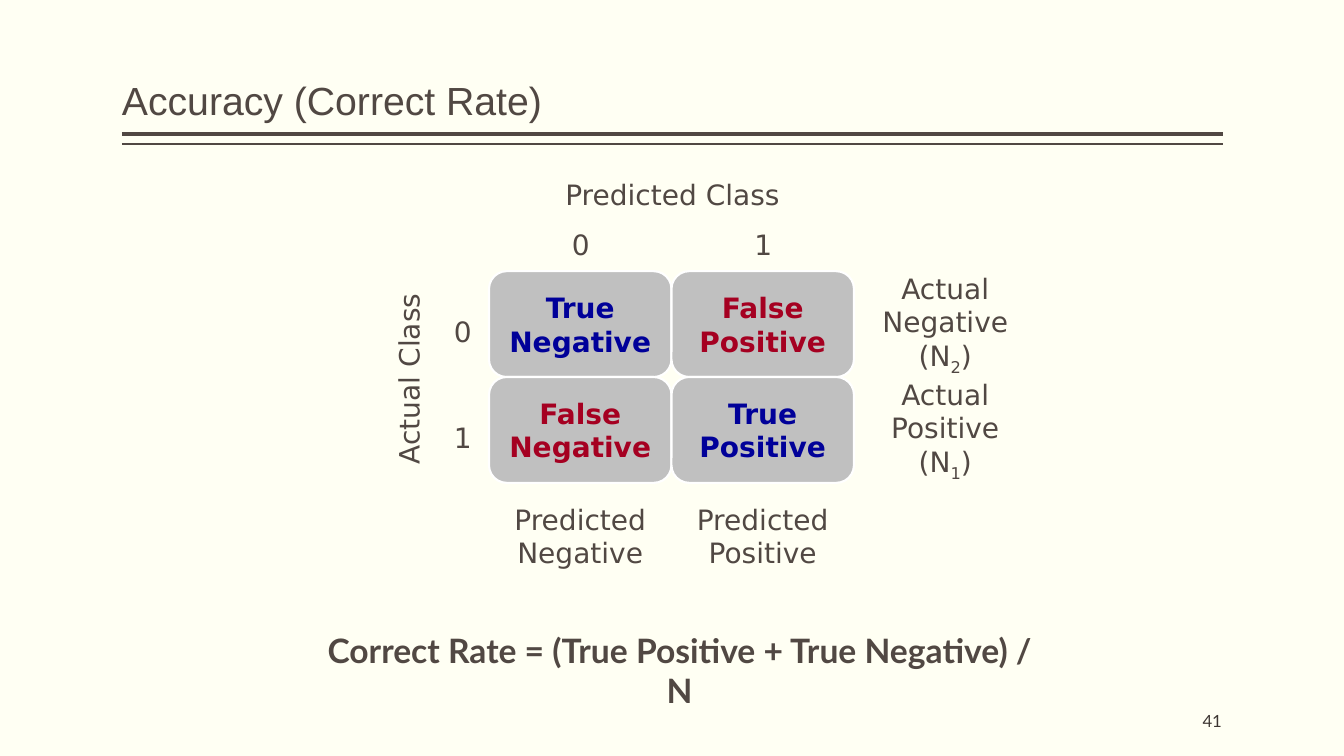
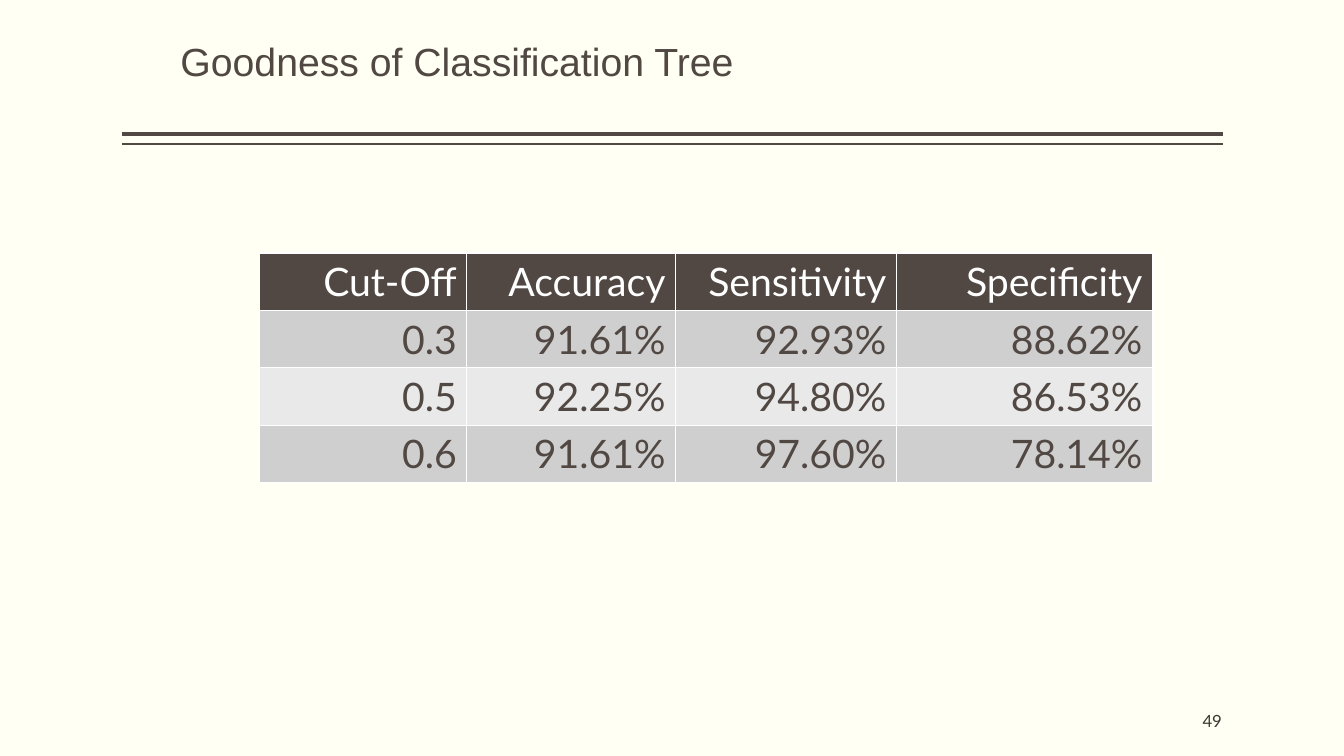
from dataclasses import dataclass
from pptx import Presentation
from pptx.dml.color import RGBColor as RGB
from pptx.enum.shapes import MSO_CONNECTOR as Conn, MSO_SHAPE as Shape
from pptx.enum.text import MSO_ANCHOR as Anchor, PP_ALIGN as Align
from pptx.oxml.ns import qn
from pptx.util import Emu, Pt
from lxml.etree import SubElement as Sub

PX = 9144  # 100 px to the inch


@dataclass(frozen=True)
class Theme:
    # Colours
    back: str = "FFFFF3"
    ink: str = "514843"
    page: str = "3D3632"
    tile: str = "C0C0C0"
    good: str = "000099"
    bad: str = "A50021"
    white: str = "FFFFFF"
    bands: tuple = ("D0CFCF", "E9E9E9")
    # Fonts and type sizes
    head: str = "Arial"
    body: str = "Lato"
    label: str = "DejaVu Sans"
    big: int = 28
    mid: int = 24
    norm: int = 20
    small: int = 12


T = Theme()

# Content: a label line may be (text, subscript, text)
TILES = [
    [(["True", "Negative"], T.good), (["False", "Positive"], T.bad)],
    [(["False", "Negative"], T.bad), (["True", "Positive"], T.good)],
]
ACTUAL = [["Actual", ("Negative (N", "2", ")")],
          ["Actual", ("Positive (N", "1", ")")]]
GUESS = [["Predicted", "Negative"], ["Predicted", "Positive"]]
AXES = [  # text, box, turn
    ("Predicted Class", (550, 171, 234, 44), 0),
    ("Actual Class", (310, 354, 190, 44), 270),
]
RATE = "Correct Rate = (True Positive + True Negative) / N"
ROWS = [
    ("Cut-Off", "Accuracy", "Sensitivity", "Specificity"),
    ("0.3", "91.61%", "92.93%", "88.62%"),
    ("0.5", "92.25%", "94.80%", "86.53%"),
    ("0.6", "91.61%", "97.60%", "78.14%"),
]
COLS = (206, 207, 219, 254)

# Geometry
RULES = [(133, 3), (143, 1)]  # y, weight
LEFT, RIGHT = 121, 1213
GRID_X, GRID_Y, TILE_W, TILE_H = 485, 269, 181, 105
DIG_W, DIG_H = 38, 44
TAB_X, TAB_Y, ROW_H = 257, 251, 57


def px(*vals):
    return [Emu(v * PX) for v in vals]


def rgb(code):
    return RGB.from_string(code)


def style(para, size, color=T.ink, face=T.body, bold=False,
          align=Align.CENTER):
    para.alignment = align
    font = para.font
    font.size, font.name, font.bold = Pt(size), face, bold
    font.color.rgb = rgb(color)


def write(frame, lines, size, anchor=Anchor.MIDDLE, wrap=False, **look):
    frame.word_wrap = wrap
    frame.vertical_anchor = anchor
    for i, line in enumerate(lines):
        para = frame.paragraphs[0] if i == 0 else frame.add_paragraph()
        parts = (line,) if isinstance(line, str) else line
        for j, part in enumerate(parts):
            run = para.add_run()
            run.text = part
            if j == 1:  # subscript
                run.font._element.set("baseline", "-25000")
        style(para, size, **look)


def text(slide, box, lines, size, **look):
    shape = slide.shapes.add_textbox(*px(*box))
    write(shape.text_frame, lines, size, **look)
    return shape


def label(slide, box, lines, **look):
    return text(slide, box, lines, T.norm, face=T.label, **look)


def flush(frame):
    frame.margin_left = frame.margin_right = 0


def start(prs, name, box, num):
    """Slide with rules, title and page number."""
    slide = prs.slides.add_slide(prs.slide_layouts[5])
    for y, weight in RULES:
        rule = slide.shapes.add_connector(
            Conn.STRAIGHT, *px(LEFT, y, RIGHT, y))
        rule.line.color.rgb = rgb(T.ink)
        rule.line.width = Pt(weight)
        Sub(rule._element.spPr, qn("a:effectLst"))
    title = slide.shapes.title
    title.left, title.top, title.width, title.height = px(*box)
    write(title.text_frame, [name], T.big, anchor=Anchor.BOTTOM, wrap=True,
          face=T.head, align=Align.LEFT)
    title.text_frame.paragraphs[0].line_spacing = 0.9
    flush(title.text_frame)
    page = text(slide, (1012, 695, 200, 40), [num], T.small, wrap=True,
                color=T.page, align=Align.RIGHT)
    flush(page.text_frame)
    return slide


def spot(row, col):
    return (GRID_X + col * TILE_W, GRID_Y + row * TILE_H, TILE_W, TILE_H)


def matrix(slide):
    # Tiles
    for r, row in enumerate(TILES):
        for c, (lines, color) in enumerate(row):
            tile = slide.shapes.add_shape(
                Shape.ROUNDED_RECTANGLE, *px(*spot(r, c)))
            tile.shadow.inherit = False
            tile.fill.solid()
            tile.fill.fore_color.rgb = rgb(T.tile)
            tile.line.color.rgb = rgb(T.white)
            tile.line.width = Pt(1.5)
            write(tile.text_frame, lines, T.norm, face=T.label,
                  color=color, bold=True)
    # Totals and class digits
    for i in range(2):
        label(slide, spot(i, 2), ACTUAL[i])
        label(slide, spot(2, i), GUESS[i])
        label(slide, (440, 307 + i * TILE_H, DIG_W, DIG_H), [str(i)])
        label(slide, (557 + i * TILE_W, 220, DIG_W, DIG_H), [str(i)])
    # Axis names
    for name, box, turn in AXES:
        label(slide, box, [name]).rotation = turn


def edge(cell):
    """White hairlines, placed ahead of the cell fill."""
    props = cell._tc.get_or_add_tcPr()
    for i, side in enumerate(("lnL", "lnR", "lnT", "lnB")):
        line = Sub(props, qn("a:" + side), w=str(Pt(1)))
        fill = Sub(line, qn("a:solidFill"))
        Sub(fill, qn("a:srgbClr"), val=T.white)
        props.insert(i, line)


def grid(slide):
    frame = slide.shapes.add_table(
        len(ROWS), len(COLS),
        *px(TAB_X, TAB_Y, sum(COLS), ROW_H * len(ROWS)))
    table = frame.table
    table.first_row = table.horz_banding = False
    for col, wide in zip(table.columns, COLS):
        col.width = Emu(wide * PX)
    for r, row in enumerate(ROWS):
        table.rows[r].height = Emu(ROW_H * PX)
        back = T.bands[(r - 1) % 2] if r else T.ink
        for c, word in enumerate(row):
            cell = table.cell(r, c)
            cell.fill.solid()
            cell.fill.fore_color.rgb = rgb(back)
            edge(cell)
            cell.text = word
            style(cell.text_frame.paragraphs[0], T.big,
                  color=T.ink if r else T.white, align=Align.RIGHT)


def main():
    prs = Presentation()
    prs.slide_width, prs.slide_height = px(1333, 750)
    back = prs.slide_master.background.fill
    back.solid()
    back.fore_color.rgb = rgb(T.back)

    # Accuracy
    slide = start(prs, "Accuracy (Correct Rate)", (121, 8, 1092, 120), "41")
    matrix(slide)
    text(slide, (304, 620, 740, 91), [RATE], T.mid, anchor=Anchor.TOP,
         wrap=True, bold=True)

    # Goodness
    slide = start(prs, "Goodness of Classification Tree",
                  (179, 0, 862, 89), "49")
    grid(slide)
    prs.save("out.pptx")


if __name__ == "__main__":
    main()
